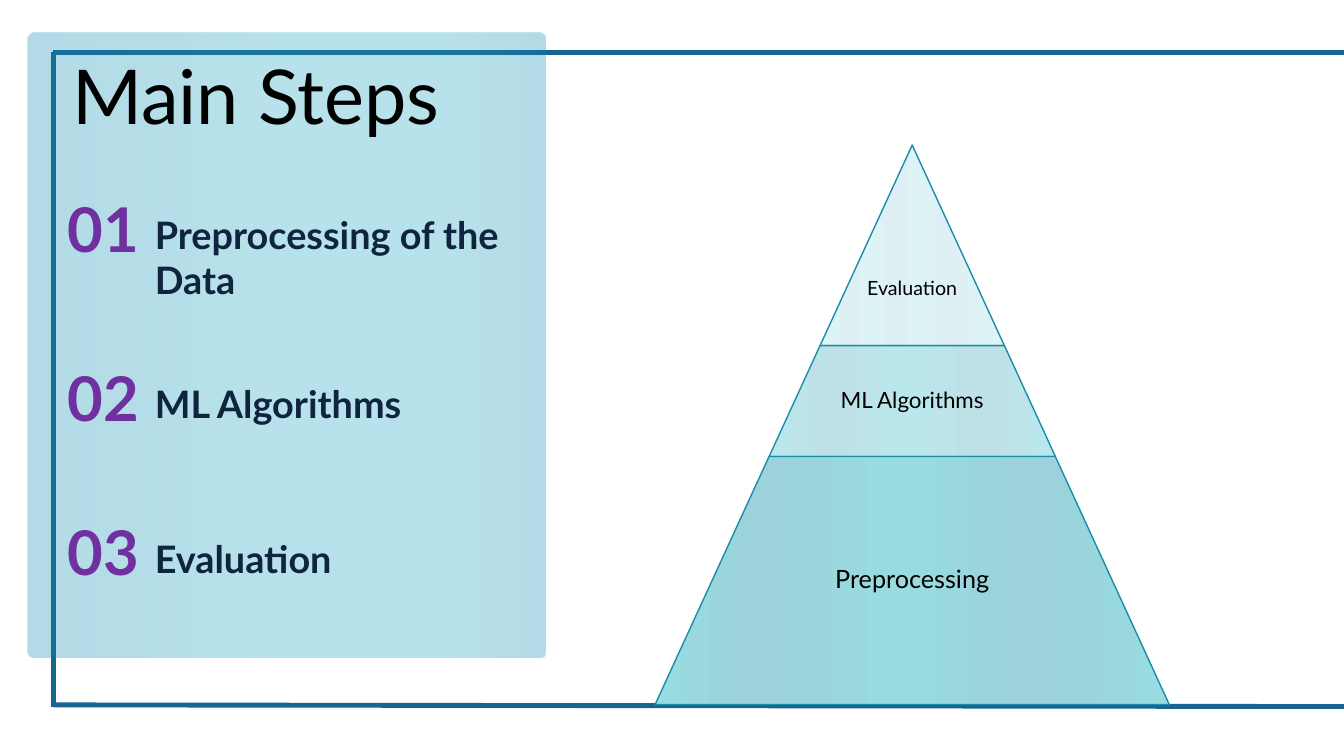
from lxml import etree
from pptx import Presentation
from pptx.dml.color import RGBColor
from pptx.enum.shapes import MSO_CONNECTOR, MSO_SHAPE
from pptx.enum.text import MSO_ANCHOR, PP_ALIGN
from pptx.oxml.ns import qn
from pptx.util import Pt

FONT = "Lato"
PANEL = [(0, "0587AF"), (26, "0F96B7"), (52, "19A5BE"), (79, "19A5BE"), (100, "0587AF")]
STEPS = [
    ("01", "Preprocessing of the Data", 132.5, 278.6, 72.7),
    ("02", "ML Algorithms", 253.5, 367.2, 40.3),
    ("03", "Evaluation", 363.6, 367.2, 40.3),
]
BANDS = [0, 21, 48, 74, 100]
TIERS = [
    ("Evaluation", 14, 143.3, 1, 62, [0, 11, 22, 34, 48, 63, 80, 100], "DDF3F5", "DEF0F3"),
    ("ML Algorithms", 16, 79.2, 0.65, 0, BANDS, "BAE7EB", "BDE1E6"),
    ("Preprocessing", 18, 177.1, 0.65, 0, BANDS, "98DBE1", "9CD2DA"),
]


def color(code):
    return RGBColor.from_string(code)


def blend(shape, stops, alpha=100):
    shape.fill.gradient()
    shape.fill.gradient_angle = 0
    items = shape.fill._fill._gradFill.find(qn("a:gsLst"))
    for old in list(items):
        items.remove(old)
    for place, code in stops:
        stop = etree.SubElement(items, qn("a:gs"), pos=str(place * 1000))
        tint = etree.SubElement(stop, qn("a:srgbClr"), val=code)
        if alpha < 100:
            etree.SubElement(tint, qn("a:alpha"), val=str(alpha * 1000))


def write(slide, box, text, size, code, bold=False, align=PP_ALIGN.LEFT,
          anchor=MSO_ANCHOR.TOP, inset=(8.64, 3.6), space=None):
    frame = slide.shapes.add_textbox(*map(Pt, box)).text_frame
    frame.word_wrap = True
    frame.vertical_anchor = anchor
    frame.margin_left = frame.margin_right = Pt(inset[0])
    frame.margin_top = frame.margin_bottom = Pt(inset[1])
    frame.text = text
    line = frame.paragraphs[0]
    line.alignment = align
    if space:
        line.line_spacing = space
    font = line.runs[0].font
    font.name, font.size, font.bold = FONT, Pt(size), bold
    font.color.rgb = color(code)


def draw_frame(slide, left, top, right, bottom):
    ends = [
        (left, top, right, top),
        (left, bottom, left, top),
        (left, bottom - 1.2, right, bottom),
    ]
    for end in ends:
        edge = slide.shapes.add_connector(MSO_CONNECTOR.STRAIGHT, *map(Pt, end))
        edge.line.color.rgb = color("196491")
        edge.line.width = Pt(3.5)
        etree.SubElement(edge._element.spPr, qn("a:effectLst"))


def draw_panel(slide, left, top, width, height):
    panel = slide.shapes.add_shape(
        MSO_SHAPE.ROUNDED_RECTANGLE, Pt(left), Pt(top), Pt(width), Pt(height))
    panel.shadow.inherit = False
    panel.adjustments[0] = 0.013
    blend(panel, PANEL, 30)
    panel.line.fill.background()
    for number, label, row, span, tall in STEPS:
        write(slide, (left + 82, row + 15.2, span, tall), label, 27, "0F243E", True)
        write(slide, (left + 15.2, row, 77, 61.2), number, 44, "7030A0", True, PP_ALIGN.CENTER)
    write(slide, (left + 24.5, top + 8, 393, 72.7), "Main Steps", 54, "000000",
          anchor=MSO_ANCHOR.MIDDLE, inset=(7.2, 3.6))


def draw_pyramid(slide, left, top, width):
    total = sum(tier[2] for tier in TIERS)
    mid = left + width / 2
    depth = 0
    for label, size, height, share, drop, places, light, dark in TIERS:
        base = width * (depth + height) / total
        slope = width * height / total / 2
        tier = slide.shapes.add_shape(
            MSO_SHAPE.TRAPEZOID, Pt(mid - base / 2), Pt(top + depth), Pt(base), Pt(height))
        tier.shadow.inherit = False
        tier.adjustments[0] = slope / min(base, height)
        blend(tier, [(place, (light, dark)[i % 2]) for i, place in enumerate(places)])
        tier.line.color.rgb = color("1A8EA9")
        tier.line.width = Pt(1)
        span = base * share
        write(slide, (mid - span / 2, top + depth + drop, span, height - drop), label, size,
              "000000", align=PP_ALIGN.CENTER, anchor=MSO_ANCHOR.MIDDLE,
              inset=(1.5, 1.5), space=0.9)
        depth += height


def main():
    deck = Presentation()
    deck.slide_width, deck.slide_height = Pt(960), Pt(540)
    slide = deck.slides.add_slide(deck.slide_layouts[6])
    draw_frame(slide, 38.2, 37.5, 960, 504.7)
    draw_panel(slide, 20, 23, 369.5, 446.5)
    draw_pyramid(slide, 468, 103.6, 367.2)
    deck.save("out.pptx")


if __name__ == "__main__":
    main()
